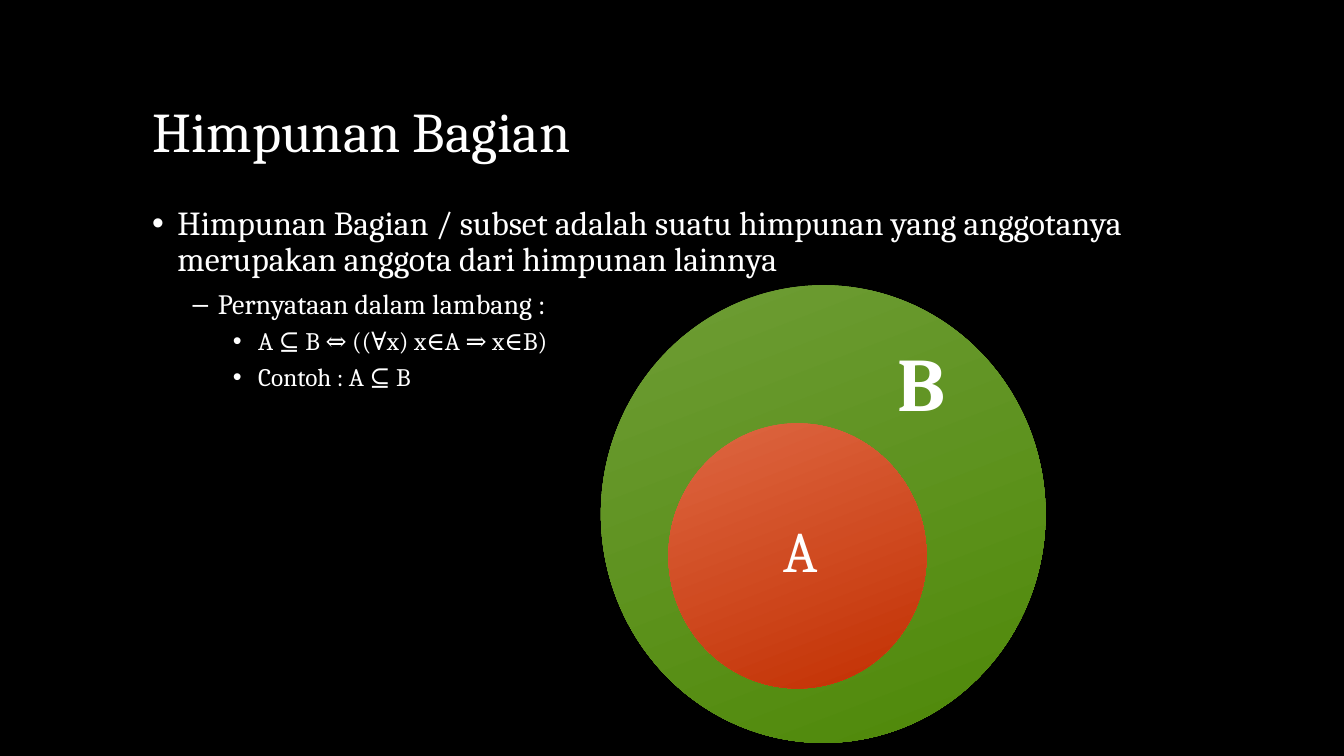
from dataclasses import dataclass

from pptx import Presentation
from pptx.dml.color import RGBColor
from pptx.enum.shapes import MSO_SHAPE
from pptx.enum.text import MSO_ANCHOR, MSO_AUTO_SIZE, PP_ALIGN
from pptx.util import Inches, Pt


@dataclass(frozen=True)
class Theme:
    font: str = "Cambria"
    background: str = "000000"
    text: str = "FFFFFF"
    green: tuple = ("6E9D35", "4E8808")
    red: tuple = ("DE6742", "C23002")
    gradient_angle: int = 291
    title_size: int = 40
    # One entry per list level
    level_sizes: tuple = (24, 20, 18)
    level_spacing: tuple = (16, 8, 6)
    level_indents: tuple = (0.25, 0.65, 1.05)
    hanging: float = 0.25
    outer_label_size: int = 54
    inner_label_size: int = 41


THEME = Theme()

BULLETS = [
    (0, "Himpunan Bagian / subset adalah suatu himpunan yang anggotanya "
        "merupakan anggota dari himpunan lainnya"),
    (1, "Pernyataan dalam lambang :"),
    (2, "A ⊆ B ⇔ ((∀x) x∈A ⇒ x∈B)"),
    (2, "Contoh : A ⊆ B"),
]


def place(shape, left, top, width, height):
    shape.left, shape.top = Inches(left), Inches(top)
    shape.width, shape.height = Inches(width), Inches(height)


def add_text(paragraph, text, size, bold=False):
    run = paragraph.add_run()
    run.text = text
    font = run.font
    font.name, font.size, font.bold = THEME.font, Pt(size), bold
    font.color.rgb = RGBColor.from_string(THEME.text)


def fill_title(title, text):
    place(title, 1.41, 0.42, 10.5, 1.25)
    frame = title.text_frame
    frame.auto_size = MSO_AUTO_SIZE.NONE
    frame.vertical_anchor = MSO_ANCHOR.BOTTOM
    paragraph = frame.paragraphs[0]
    paragraph.alignment = PP_ALIGN.LEFT
    paragraph.line_spacing = 0.8
    add_text(paragraph, text, THEME.title_size)


def fill_list(body, items):
    place(body, 1.41, 2, 10.5, 4.75)
    frame = body.text_frame
    frame.auto_size = MSO_AUTO_SIZE.NONE
    for index, (level, text) in enumerate(items):
        paragraph = frame.add_paragraph() if index else frame.paragraphs[0]
        paragraph.level = level
        paragraph.line_spacing = 0.9
        paragraph.space_before = Pt(THEME.level_spacing[level])
        # Hanging indent for the bullet
        properties = paragraph._p.get_or_add_pPr()
        properties.set("marL", str(Inches(THEME.level_indents[level])))
        properties.set("indent", str(-Inches(THEME.hanging)))
        add_text(paragraph, text, THEME.level_sizes[level])


def add_set_circle(slide, left, top, width, height, colors):
    circle = slide.shapes.add_shape(
        MSO_SHAPE.OVAL, Inches(left), Inches(top), Inches(width), Inches(height))
    circle.shadow.inherit = False
    circle.line.fill.background()
    circle.fill.gradient()
    circle.fill.gradient_angle = THEME.gradient_angle
    for position, (stop, color) in enumerate(zip(circle.fill.gradient_stops, colors)):
        stop.position = position
        stop.color.rgb = RGBColor.from_string(color)


def add_label(slide, left, top, width, height, text, size, bold=False):
    box = slide.shapes.add_textbox(
        Inches(left), Inches(top), Inches(width), Inches(height))
    frame = box.text_frame
    frame.word_wrap = True
    add_text(frame.paragraphs[0], text, size, bold)
    return frame


def center_label(frame):
    frame.margin_left = frame.margin_right = Inches(0)
    frame.margin_top = frame.margin_bottom = Inches(0)
    frame.vertical_anchor = MSO_ANCHOR.MIDDLE
    paragraph = frame.paragraphs[0]
    paragraph.alignment = PP_ALIGN.CENTER
    paragraph.line_spacing = 0.9


def main():
    presentation = Presentation()
    presentation.slide_width = Inches(13.33)
    presentation.slide_height = Inches(7.5)
    slide = presentation.slides.add_slide(presentation.slide_layouts[1])
    background = slide.background.fill
    background.solid()
    background.fore_color.rgb = RGBColor.from_string(THEME.background)

    # Title and definition
    fill_title(slide.shapes.title, "Himpunan Bagian")
    fill_list(slide.placeholders[1], BULLETS)

    # Venn diagram: A inside B
    add_set_circle(slide, 5.96, 2.83, 4.41, 4.54, THEME.green)
    add_label(slide, 8.8, 3.28, 0.79, 1.01, "B", THEME.outer_label_size, bold=True)
    add_set_circle(slide, 6.63, 4.2, 2.56, 2.63, THEME.red)
    center_label(add_label(slide, 7.17, 4.77, 1.54, 1.45, "A", THEME.inner_label_size))

    presentation.save("out.pptx")


if __name__ == "__main__":
    main()
